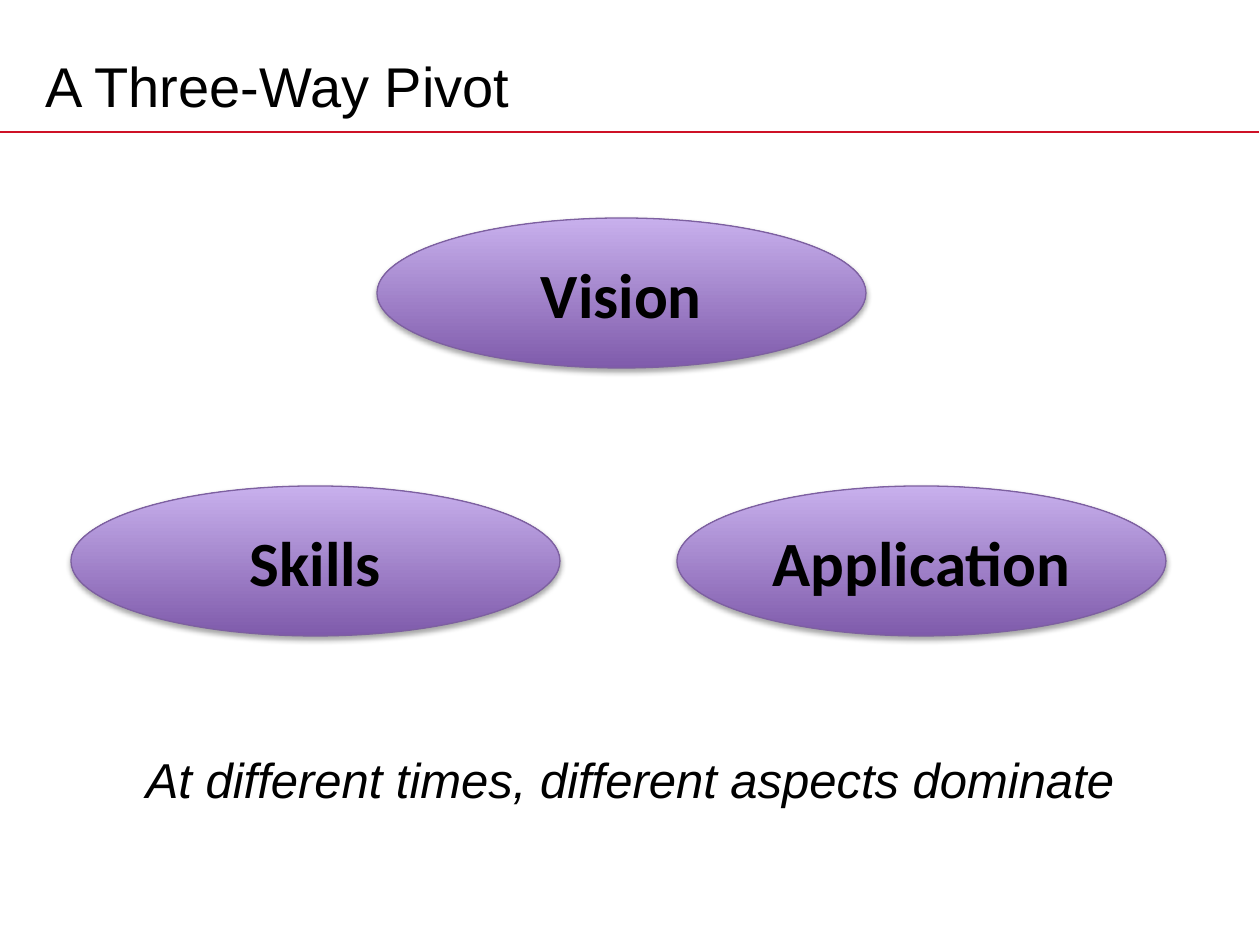
"""Build the slide on the three-way pivot between vision, skills and application."""
import pptx
import pptx.util
import pptx.oxml
import pptx.oxml.ns
import pptx.dml.color
import pptx.enum.shapes
import pptx.enum.text

EMU_PER_PX = 914400 / 126
NS = pptx.oxml.ns.nsdecls("a")


def px(n):
    return pptx.util.Emu(round(n * EMU_PER_PX))


def color(value):
    return pptx.dml.color.RGBColor.from_string(value)


class Deck:
    INK, RULE, EDGE = "000000", "CE1126", "7D60A0"
    GRADIENT = ("7F5BAB", "C8B0ED")
    HEAD_FONT, NODE_FONT = "Arial", "Calibri"
    LEFT, CENTER = pptx.enum.text.PP_ALIGN.LEFT, pptx.enum.text.PP_ALIGN.CENTER
    TOP, MIDDLE = pptx.enum.text.MSO_ANCHOR.TOP, pptx.enum.text.MSO_ANCHOR.MIDDLE

    def __init__(self, width, height):
        self.prs = pptx.Presentation()
        self.prs.slide_width, self.prs.slide_height = px(width), px(height)
        self.s = self.prs.slides.add_slide(self.prs.slide_layouts[5])

    def set_text(self, sp, text, size, font, align, anchor, bold=False, italic=False):
        tf = sp.text_frame
        tf.text = text
        tf.word_wrap = True
        tf.auto_size = pptx.enum.text.MSO_AUTO_SIZE.NONE
        tf.vertical_anchor = anchor
        p = tf.paragraphs[0]
        p.alignment = align
        r = p.runs[0]
        r.font.name, r.font.size = font, pptx.util.Pt(size)
        r.font.bold, r.font.italic = bold, italic
        r.font.color.rgb = color(self.INK)

    def title(self, text, x, y, w, h):
        sp = self.s.shapes.title
        sp.left, sp.top, sp.width, sp.height = px(x), px(y), px(w), px(h)
        self.set_text(sp, text, 32, self.HEAD_FONT, self.LEFT, self.MIDDLE)

    def rule(self, x1, x2, y):
        line = self.s.shapes.add_connector(
            pptx.enum.shapes.MSO_CONNECTOR.STRAIGHT, px(x1), px(y), px(x2), px(y))
        line.line.color.rgb = color(self.RULE)
        line.line.width = pptx.util.Pt(1)
        line._element.spPr.append(pptx.oxml.parse_xml(f"<a:effectLst {NS}/>"))

    def caption(self, text, x, y, w, h):
        sp = self.s.shapes.add_textbox(px(x), px(y), px(w), px(h))
        self.set_text(sp, text, 28, self.HEAD_FONT, self.CENTER, self.TOP, italic=True)

    def node(self, text, x, y, w, h):
        sp = self.s.shapes.add_shape(
            pptx.enum.shapes.MSO_SHAPE.OVAL, px(x), px(y), px(w), px(h))
        sp.fill.gradient()
        sp.fill.gradient_angle = 90
        for stop, value in zip(sp.fill.gradient_stops, self.GRADIENT):
            stop.color.rgb = color(value)
        sp.line.color.rgb = color(self.EDGE)
        sp.line.width = pptx.util.Pt(0.75)
        self.shadow(sp)
        self.set_text(sp, text, 36, self.NODE_FONT, self.CENTER, self.MIDDLE, bold=True)

    def shadow(self, sp):
        sp.shadow.inherit = False
        effects = sp._element.spPr.find(pptx.oxml.ns.qn("a:effectLst"))
        effects.append(pptx.oxml.parse_xml(
            f'<a:outerShdw {NS} blurRad="40000" dist="23000" dir="5400000" '
            f'rotWithShape="0"><a:srgbClr val="{self.INK}"><a:alpha val="35000"/>'
            '</a:srgbClr></a:outerShdw>'))


def main():
    deck = Deck(1260, 945)
    deck.rule(0, 1259, 132)
    deck.title("A Three-Way Pivot", 33, 38, 1134, 94)
    deck.caption("At different times, different aspects dominate", 63, 743, 1134, 101)
    for text, x, y in (("Vision", 377, 218), ("Skills", 71, 486), ("Application", 677, 486)):
        deck.node(text, x, y, 489, 150)
    deck.prs.save("out.pptx")


if __name__ == "__main__":
    main()
